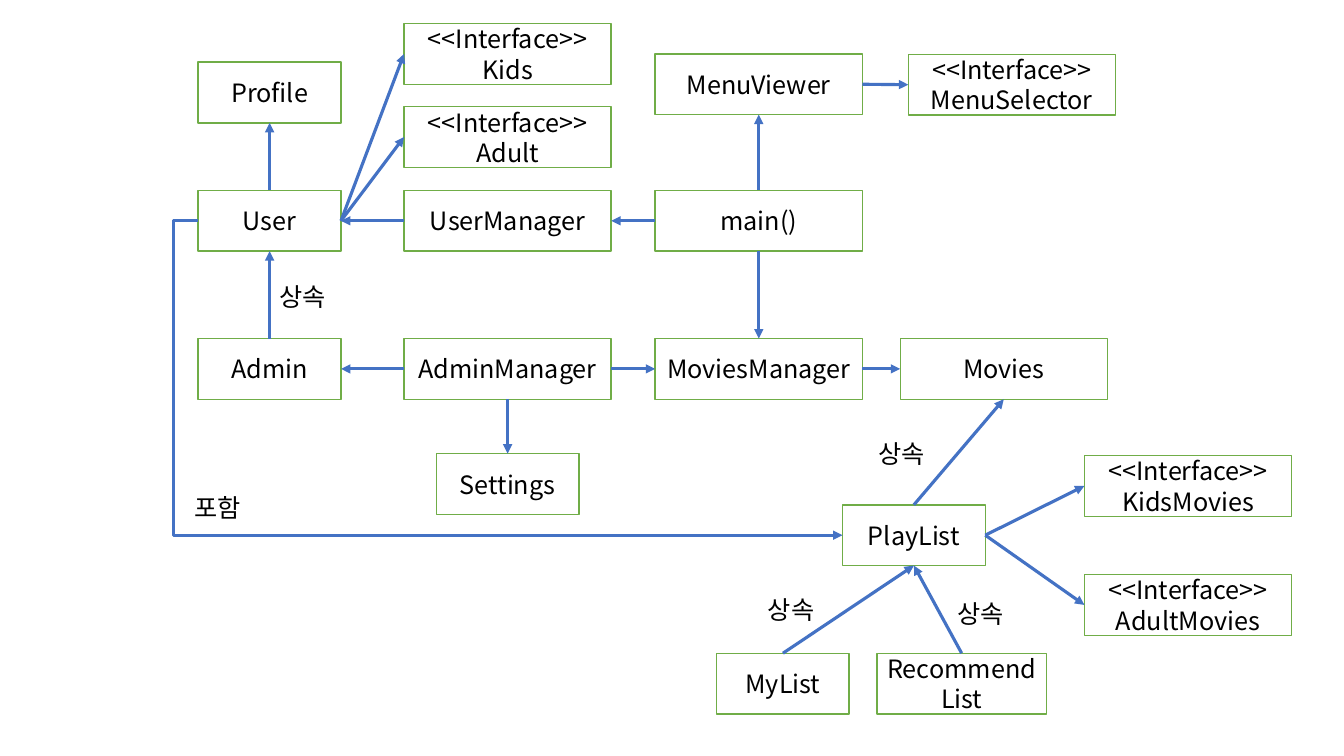
from lxml import etree
from pptx import Presentation
from pptx.dml.color import RGBColor
from pptx.enum.shapes import MSO_CONNECTOR, MSO_SHAPE
from pptx.enum.text import MSO_ANCHOR, MSO_AUTO_SIZE, PP_ALIGN
from pptx.oxml.ns import qn
from pptx.util import Pt

RECTANGLE = MSO_SHAPE.RECTANGLE
STRAIGHT, ELBOW = MSO_CONNECTOR.STRAIGHT, MSO_CONNECTOR.ELBOW
MIDDLE, CENTER = MSO_ANCHOR.MIDDLE, PP_ALIGN.CENTER
FIT_TEXT = MSO_AUTO_SIZE.SHAPE_TO_FIT_TEXT

COLORS = {"paper": "FFFFFF", "border": "70AD47", "arrow": "4472C4", "ink": "000000"}
FONT = "Noto Sans CJK KR"

# Connection sites of a rectangle
TOP, LEFT, BOTTOM, RIGHT = range(4)

# Class grid: column lefts, row tops and box sizes, in points
USER_X, MANAGER_X, MAIN_X, LIST_X, GENRE_X = 141.6, 288.6, 468, 606.4, 774.6
MAIN_Y, MANAGER_Y, SUBLIST_Y = 136, 241.8, 466.6
NARROW, WIDE, HEIGHT = 102, 148, 43.4
INTERFACE = "<<Interface>>\n"

# text, left, top, width
CLASSES = [
    ("Profile", USER_X, 44.4, NARROW),
    ("User", USER_X, MAIN_Y, NARROW),
    ("Admin", USER_X, MANAGER_Y, NARROW),
    (INTERFACE + "Kids", MANAGER_X, 16.8, WIDE),
    (INTERFACE + "Adult", MANAGER_X, 76.2, WIDE),
    ("UserManager", MANAGER_X, MAIN_Y, WIDE),
    ("AdminManager", MANAGER_X, MANAGER_Y, WIDE),
    ("Settings", MANAGER_X + (WIDE - NARROW) / 2, 324, NARROW),
    ("MenuViewer", MAIN_X, 38.5, WIDE),
    ("main()", MAIN_X, MAIN_Y, WIDE),
    ("MoviesManager", MAIN_X, MANAGER_Y, WIDE),
    (INTERFACE + "MenuSelector", 648.8, 38.8, WIDE),
    ("Movies", 643, MANAGER_Y, WIDE),
    ("PlayList", 601.8, 360.6, NARROW),
    (INTERFACE + "KidsMovies", GENRE_X, 325.4, WIDE),
    (INTERFACE + "AdultMovies", GENRE_X, 410.4, WIDE),
    ("MyList", 512, SUBLIST_Y, 94.6),
    ("RecommendList", 626.4, SUBLIST_Y, 121),
]

# from, its site, to, its site
ARROWS = [
    ("User", TOP, "Profile", BOTTOM),
    ("User", RIGHT, "Kids", LEFT),
    ("User", RIGHT, "Adult", LEFT),
    ("Admin", TOP, "User", BOTTOM),
    ("UserManager", LEFT, "User", RIGHT),
    ("main()", LEFT, "UserManager", RIGHT),
    ("main()", TOP, "MenuViewer", BOTTOM),
    ("main()", BOTTOM, "MoviesManager", TOP),
    ("MenuViewer", RIGHT, "MenuSelector", LEFT),
    ("AdminManager", LEFT, "Admin", RIGHT),
    ("AdminManager", RIGHT, "MoviesManager", LEFT),
    ("AdminManager", BOTTOM, "Settings", TOP),
    ("MoviesManager", RIGHT, "Movies", LEFT),
    ("PlayList", TOP, "Movies", BOTTOM),
    ("PlayList", RIGHT, "KidsMovies", LEFT),
    ("PlayList", RIGHT, "AdultMovies", LEFT),
    ("MyList", TOP, "PlayList", BOTTOM),
    ("RecommendList", TOP, "PlayList", BOTTOM),
]

# text, left, top
RELATIONS = [
    ("상속", 192.4, 197.4),
    ("상속", 620.6, 309.8),
    ("상속", 541.4, 421.2),
    ("상속", 676.8, 424),
    ("포함", 131.8, 347.8),
]


def color(name):
    return RGBColor.from_string(COLORS[name])


def format_text(frame, align=None):
    for paragraph in frame.paragraphs:
        paragraph.alignment = align
        for run in paragraph.runs:
            run.font.size = Pt(18)
            run.font.name = FONT
            run.font.color.rgb = color("ink")
            east_asian = etree.SubElement(run.font._element, qn("a:ea"))
            east_asian.set("typeface", FONT)


def add_class(slide, text, left, top, width):
    box = slide.shapes.add_shape(RECTANGLE, Pt(left), Pt(top), Pt(width), Pt(HEIGHT))
    box.shadow.inherit = False
    box.fill.solid()
    box.fill.fore_color.rgb = color("paper")
    box.line.color.rgb = color("border")
    box.line.width = Pt(1)
    box.text_frame.text = text
    box.text_frame.vertical_anchor = MIDDLE
    format_text(box.text_frame, CENTER)
    return box


def add_arrow(slide, start, start_site, end, end_site, kind=STRAIGHT):
    arrow = slide.shapes.add_connector(kind, 0, 0, 0, 0)
    arrow.begin_connect(start, start_site)
    arrow.end_connect(end, end_site)
    arrow.line.color.rgb = color("arrow")
    arrow.line.width = Pt(2.25)
    etree.SubElement(arrow.line._get_or_add_ln(), qn("a:tailEnd")).set("type", "triangle")
    etree.SubElement(arrow._element.spPr, qn("a:effectLst"))
    return arrow


def bend_outside(arrow, distance):
    """Move the upright part of an elbow to the left of its start."""
    geometry = arrow._element.spPr.find(qn("a:prstGeom"))
    guides = geometry.find(qn("a:avLst"))
    if guides is None:
        guides = etree.SubElement(geometry, qn("a:avLst"))
    guide = etree.SubElement(guides, qn("a:gd"))
    guide.set("name", "adj1")
    guide.set("fmla", f"val {round(-100000 * Pt(distance) / arrow.width)}")


def add_relation(slide, text, left, top):
    label = slide.shapes.add_textbox(Pt(left), Pt(top), Pt(51), Pt(29))
    label.text_frame.text = text
    label.text_frame.word_wrap = False
    label.text_frame.auto_size = FIT_TEXT
    format_text(label.text_frame)


def main():
    deck = Presentation()
    deck.slide_width, deck.slide_height = Pt(960), Pt(540)
    slide = deck.slides.add_slide(deck.slide_layouts[6])

    # Classes and interfaces, found again by the last line of their text
    classes = {}
    for text, left, top, width in CLASSES:
        classes[text.split("\n")[-1]] = add_class(slide, text, left, top, width)

    # Dependencies
    for start, start_site, end, end_site in ARROWS:
        add_arrow(slide, classes[start], start_site, classes[end], end_site)
    containment = add_arrow(slide, classes["User"], LEFT, classes["PlayList"], LEFT, ELBOW)
    bend_outside(containment, 18)

    # Relation labels
    for text, left, top in RELATIONS:
        add_relation(slide, text, left, top)

    deck.save("out.pptx")


main()
